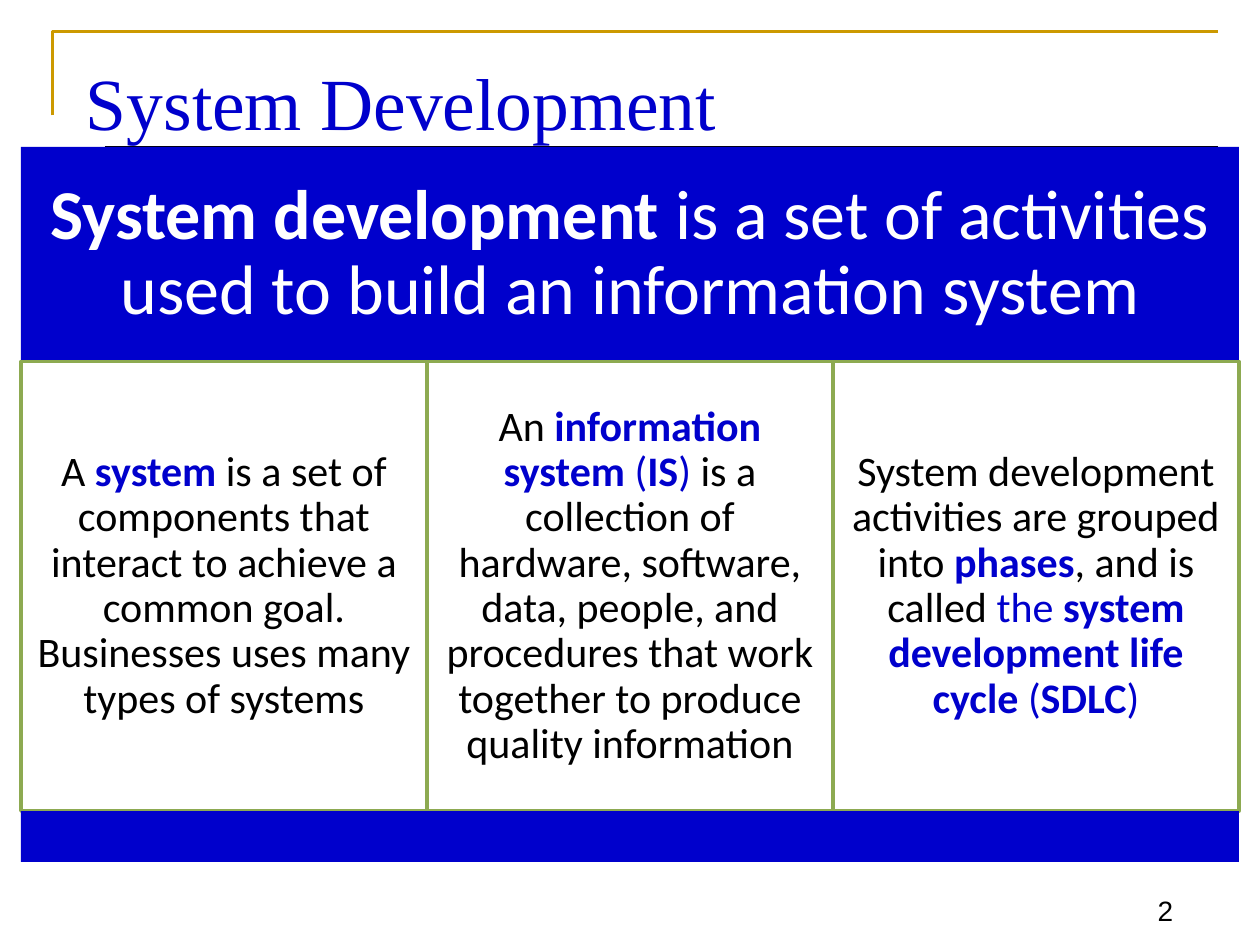
from pptx import Presentation
from pptx.dml.color import RGBColor
from pptx.enum.shapes import MSO_CONNECTOR, MSO_SHAPE
from pptx.enum.text import MSO_ANCHOR as Anchor, PP_ALIGN as Align
from pptx.oxml.ns import qn
from pptx.util import Pt

BLUE = RGBColor(0x00, 0x00, 0xCC)
GOLD = RGBColor(0xCC, 0x99, 0x00)
GREEN = RGBColor(0x8D, 0xAA, 0x51)
BLACK = RGBColor(0, 0, 0)
WHITE = RGBColor(0xFF, 0xFF, 0xFF)

# Each run: text, colour, bold
TITLE = [("System Development", BLUE, False)]
PAGE = [("2", BLACK, False)]
HEAD = [
    ("System development", WHITE, True),
    (" is a set of activities used to build an information system", WHITE, False),
]
CARDS = [
    [
        ("A ", BLACK, False),
        ("system ", BLUE, True),
        ("is a set of components that interact to achieve a common goal. "
         "Businesses uses many types of systems", BLACK, False),
    ],
    [
        ("An ", BLACK, False),
        ("information system ", BLUE, True),
        ("(", BLUE, False),
        ("IS", BLUE, True),
        (") ", BLUE, False),
        ("is a collection of hardware, software, data, people, and procedures "
         "that work together to produce quality information", BLACK, False),
    ],
    [
        ("System development activities are grouped into ", BLACK, False),
        ("phases", BLUE, True),
        (", and is called ", BLACK, False),
        ("the ", BLUE, False),
        ("system development life cycle", BLUE, True),
        (" (", BLUE, False),
        ("SDLC", BLUE, True),
        (")", BLUE, False),
    ],
]

LEFT, WIDTH = 12, 696
HEAD_TOP, CARD_TOP, FOOT_TOP, FOOT_END = 84, 206.5, 463.5, 492.5

deck = Presentation()
deck.slide_width, deck.slide_height = Pt(720), Pt(540)
slide = deck.slides.add_slide(deck.slide_layouts[6])
shapes = slide.shapes


def write(shape, runs, font, size, pads, anchor, align, spacing=1.0):
    """Fill a shape with one paragraph; pads are left, top, right, bottom."""
    frame = shape.text_frame
    frame.word_wrap = True
    frame.vertical_anchor = anchor
    for side, pad in zip(("left", "top", "right", "bottom"), pads):
        setattr(frame, f"margin_{side}", Pt(pad))
    para = frame.paragraphs[0]
    para.alignment, para.line_spacing = align, spacing
    for text, color, bold in runs:
        run = para.add_run()
        run.text = text
        for name, value in {"name": font, "size": Pt(size), "bold": bold}.items():
            setattr(run.font, name, value)
        run.font.color.rgb = color


def add_box(left, top, width, height, fill, line=None):
    box = shapes.add_shape(MSO_SHAPE.RECTANGLE, Pt(left), Pt(top), Pt(width), Pt(height))
    box.shadow.inherit = False
    box.fill.solid()
    box.fill.fore_color.rgb = fill
    if line is None:
        box.line.fill.background()
    else:
        box.line.color.rgb, box.line.width = line, Pt(2)
    return box


def add_text(left, top, width, height, *args):
    write(shapes.add_textbox(Pt(left), Pt(top), Pt(width), Pt(height)), *args)


# Frame and rule around the title
pen = shapes.build_freeform(Pt(30), Pt(66), scale=1.0)
pen.add_line_segments([(Pt(30), Pt(18)), (Pt(696), Pt(18))], close=False)
frame = pen.convert_to_shape()
frame.shadow.inherit = False
frame.fill.background()
frame.line.color.rgb, frame.line.width = GOLD, Pt(1.5)

rule = shapes.add_connector(MSO_CONNECTOR.STRAIGHT, Pt(60), Pt(84), Pt(696), Pt(84))
rule.line.color.rgb, rule.line.width = BLACK, Pt(0.75)
props = rule._element.spPr
props.append(props.makeelement(qn("a:effectLst"), {}))

add_text(630, 498, 47.5, 35.5, PAGE, "Arial", 16, (7.2, 3.6, 7.2, 3.6), Anchor.BOTTOM, Align.RIGHT)
add_text(42, 24, 654, 54, TITLE, "Times New Roman", 42, (7.2, 8.3, 7.2, 0), Anchor.TOP, Align.LEFT)

# Banner, three cards, footer bar
banner = add_box(LEFT, HEAD_TOP, WIDTH, CARD_TOP - HEAD_TOP, BLUE)
write(banner, HEAD, "Calibri", 40, [12] * 4, Anchor.MIDDLE, Align.CENTER, 0.9)

step = WIDTH / len(CARDS)
for i, runs in enumerate(CARDS):
    card = add_box(LEFT + i * step, CARD_TOP, step, FOOT_TOP - CARD_TOP, WHITE, GREEN)
    write(card, runs, "Calibri", 24, [7.2] * 4, Anchor.MIDDLE, Align.CENTER, 0.9)

add_box(LEFT, FOOT_TOP, WIDTH, FOOT_END - FOOT_TOP, BLUE)

deck.save("out.pptx")
